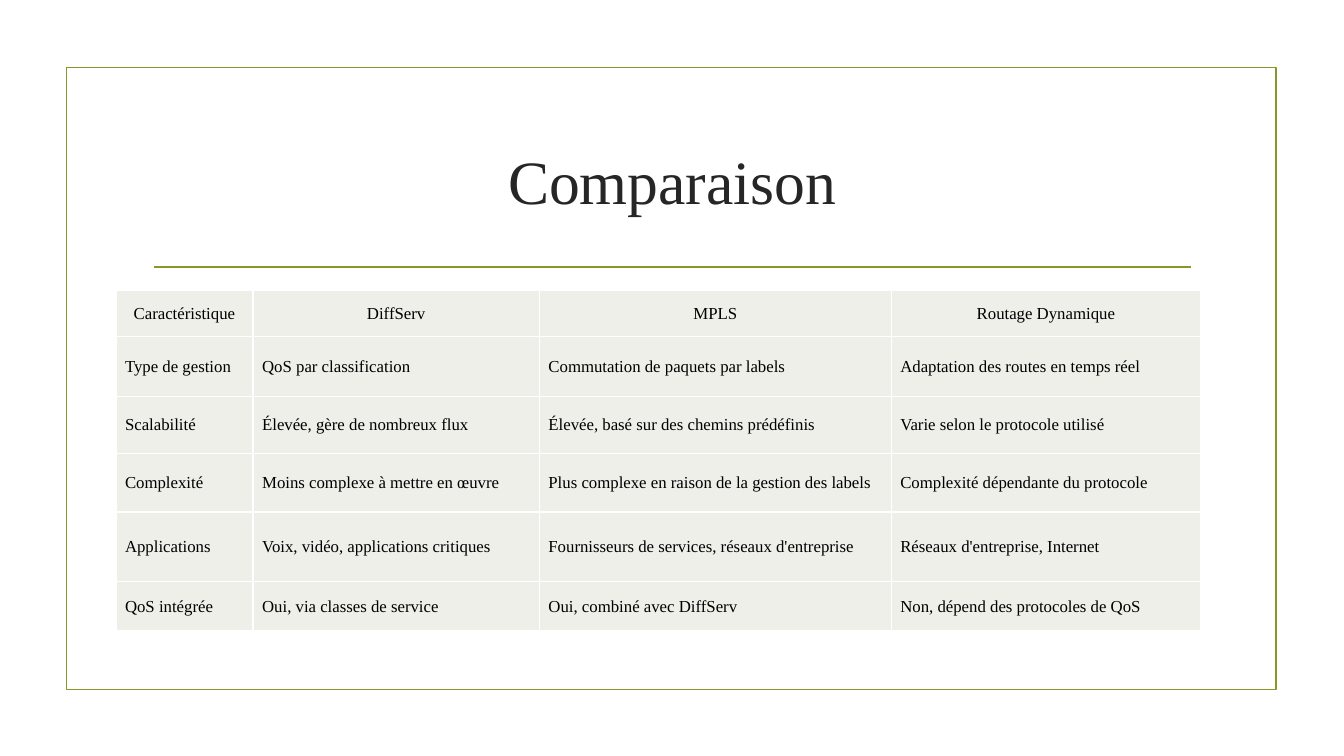
from lxml import etree
from pptx import Presentation
from pptx.dml.color import RGBColor
from pptx.enum.shapes import MSO_CONNECTOR, MSO_SHAPE
from pptx.enum.text import MSO_ANCHOR, PP_ALIGN
from pptx.oxml.ns import qn
from pptx.util import Inches, Pt

LEFT, CENTER = PP_ALIGN.LEFT, PP_ALIGN.CENTER
MIDDLE = MSO_ANCHOR.MIDDLE
RECT, STRAIGHT = MSO_SHAPE.RECTANGLE, MSO_CONNECTOR.STRAIGHT

FONT = "Times New Roman"
GREEN, PALE, WHITE = "83992A", "EDEFE8", "FFFFFF"
BLACK, DARK = "000000", "262626"

COLS = [1.36, 2.84, 3.49, 3.07]
ROWS = [0.46, 0.59, 0.57, 0.58, 0.69, 0.49]
CELLS = [
    ["Caractéristique", "DiffServ", "MPLS", "Routage Dynamique"],
    ["Type de gestion", "QoS par classification",
     "Commutation de paquets par labels",
     "Adaptation des routes en temps réel"],
    ["Scalabilité", "Élevée, gère de nombreux flux",
     "Élevée, basé sur des chemins prédéfinis",
     "Varie selon le protocole utilisé"],
    ["Complexité", "Moins complexe à mettre en œuvre",
     "Plus complexe en raison de la gestion des labels",
     "Complexité dépendante du protocole"],
    ["Applications", "Voix, vidéo, applications critiques",
     "Fournisseurs de services, réseaux d'entreprise",
     "Réseaux d'entreprise, Internet"],
    ["QoS intégrée", "Oui, via classes de service",
     "Oui, combiné avec DiffServ",
     "Non, dépend des protocoles de QoS"],
]


def paint(color, value):
    color.rgb = RGBColor.from_string(value)


def write(frame, text, size=12, color=BLACK, align=LEFT):
    para = frame.paragraphs[0]
    para.alignment = align
    run = para.add_run()
    run.text = text
    run.font.name = FONT
    run.font.size = Pt(size)
    run.font.bold = False
    paint(run.font.color, color)


def stroke(line):
    line.width = Pt(1.25)
    paint(line.color, GREEN)


def add_frame(slide, left, top, width, height):
    box = slide.shapes.add_shape(RECT, Inches(left), Inches(top),
                                 Inches(width), Inches(height))
    box.shadow.inherit = False
    box.fill.background()
    stroke(box.line)


def add_rule(slide, left, right, top):
    rule = slide.shapes.add_connector(STRAIGHT, Inches(left), Inches(top),
                                      Inches(right), Inches(top))
    stroke(rule.line)
    etree.SubElement(rule._element.spPr, qn("a:effectLst"))


def add_title(slide, text, left, top, width, height):
    box = slide.shapes.add_textbox(Inches(left), Inches(top),
                                   Inches(width), Inches(height))
    frame = box.text_frame
    frame.word_wrap = True
    frame.vertical_anchor = MIDDLE
    write(frame, text, size=44, color=DARK, align=CENTER)


def add_edges(cell):
    """Give the cell white borders; call before setting its fill."""
    props = cell._tc.get_or_add_tcPr()
    for tag in ("a:lnL", "a:lnR", "a:lnT", "a:lnB"):
        edge = etree.SubElement(props, qn(tag), w=str(Pt(1)))
        fill = etree.SubElement(edge, qn("a:solidFill"))
        etree.SubElement(fill, qn("a:srgbClr"), val=WHITE)


def fill_cell(cell, text, head):
    add_edges(cell)
    cell.fill.solid()
    paint(cell.fill.fore_color, PALE)
    cell.vertical_anchor = MIDDLE
    cell.margin_left = Inches(0.01 if head else 0.09)
    cell.margin_top = cell.margin_right = Inches(0.01)
    cell.margin_bottom = 0
    write(cell.text_frame, text, align=CENTER if head else LEFT)


def add_grid(slide, left, top):
    shape = slide.shapes.add_table(len(ROWS), len(COLS),
                                   Inches(left), Inches(top),
                                   Inches(sum(COLS)), Inches(sum(ROWS)))
    table = shape.table
    table.first_row = table.horz_banding = False
    for col, width in zip(table.columns, COLS):
        col.width = Inches(width)
    for row, height in zip(table.rows, ROWS):
        row.height = Inches(height)
    for r, texts in enumerate(CELLS):
        for c, text in enumerate(texts):
            fill_cell(table.cell(r, c), text, head=r == 0)


def main():
    deck = Presentation()
    deck.slide_width, deck.slide_height = Inches(13.33), Inches(7.5)
    slide = deck.slides.add_slide(deck.slide_layouts[6])
    add_frame(slide, 0.66, 0.67, 12, 6.17)
    add_rule(slide, 1.53, 11.81, 2.65)
    add_title(slide, "Comparaison", 1.42, 1.07, 10.5, 1.43)
    add_grid(slide, 1.15, 2.88)
    deck.save("out.pptx")


if __name__ == "__main__":
    main()
